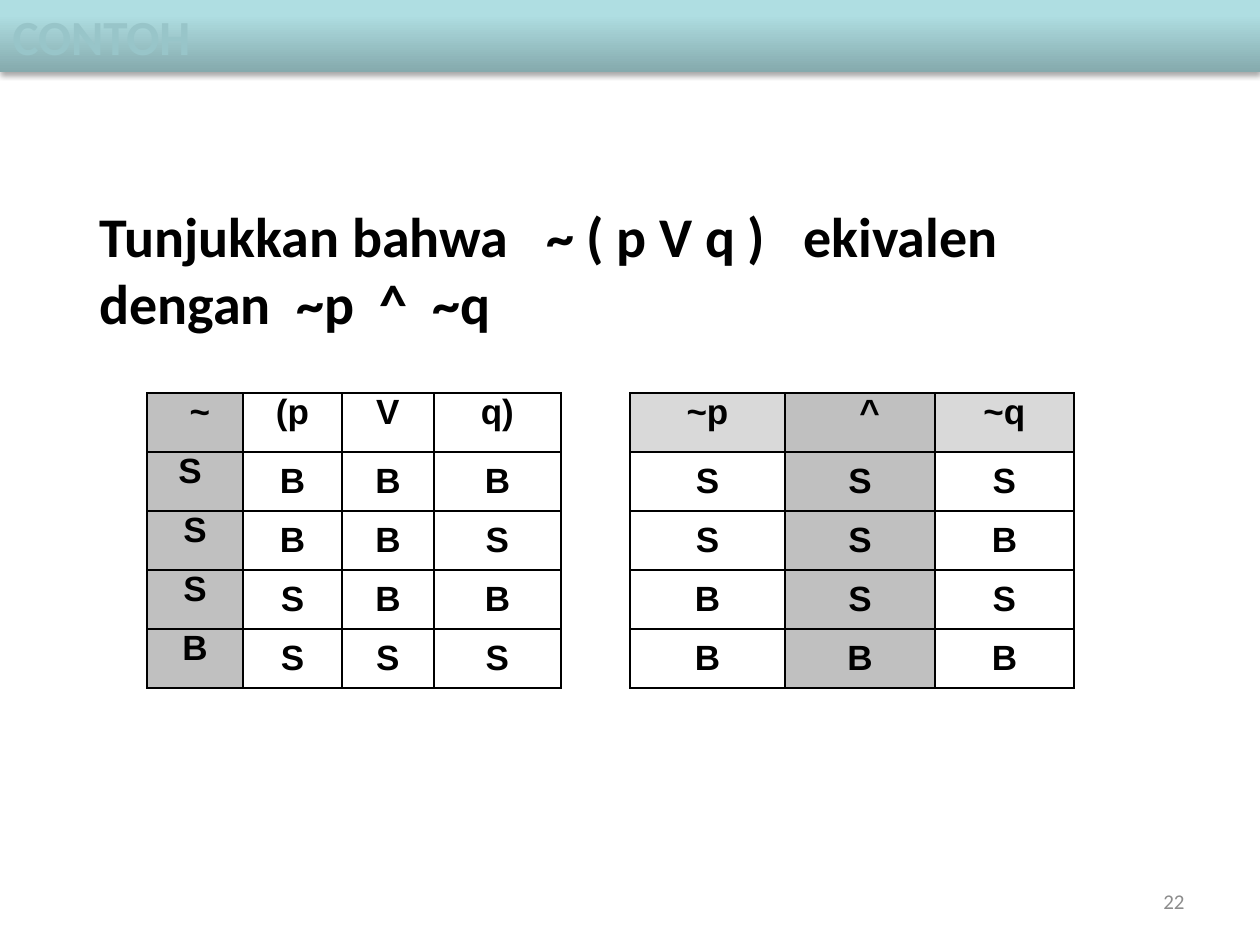
from dataclasses import dataclass
from lxml import etree
from pptx import Presentation
from pptx import util as u
from pptx.dml.color import RGBColor
from pptx.enum import text
from pptx.oxml.ns import qn

SCALE = 914400 / 126


@dataclass(frozen=True)
class Theme:
    black: str = "000000"
    page: str = "8C8C8C"
    dark: str = "C0C0C0"
    light: str = "D9D9D9"
    white: str = "FFFFFF"
    band: tuple = ((0, "85AAAD"), (80, "AFDEE2"), (100, "AFE0E4"))
    glow: tuple = ((0, "ADD4D7"), (49, "98C5C9"), (50, "95BDC0"),
                   (92, "86A7AA"), (100, "83A4A6"))
    sans: str = "Calibri"
    grid: str = "Arial"
    small: int = 12
    cell: int = 20
    head: int = 28
    body: int = 32


@dataclass(frozen=True)
class Truth:
    left: int
    cols: tuple
    rows: tuple
    heads: tuple
    fills: tuple
    tops: tuple = ()


THEME = Theme()
TOP, ROW, PAD = 393, 59, 9
TABLES = (
    Truth(147, (96, 99, 92, 127),
          ((" ~", "(p", "V", "q)"), ("S ", "B", "B", "B"), ("S", "B", "B", "S"),
           ("S", "S", "B", "B"), ("B", "S", "S", "S")),
          (THEME.dark, None, None, None), (THEME.dark, None, None, None), (0,)),
    Truth(630, (155, 150, 139),
          (("~p", "  ^", "~q"), ("S", "S", "S"), ("S", "S", "B"),
           ("B", "S", "S"), ("B", "B", "B")),
          (THEME.light, THEME.dark, THEME.light), (THEME.white, THEME.dark, None)),
)


def px(n: int) -> int:
    return round(n * SCALE)


def add(parent, tag: str, **attrs):
    return etree.SubElement(parent, qn(tag), {k: str(v) for k, v in attrs.items()})


def blend(fill, owner, stops: tuple, angle: int) -> None:
    fill.gradient()
    grad = owner.find(qn("a:gradFill"))
    for child in list(grad):
        grad.remove(child)
    group = add(grad, "a:gsLst")
    for pos, color in stops:
        add(add(group, "a:gs", pos=pos * 1000), "a:srgbClr", val=color)
    add(grad, "a:lin", ang=angle * 60000, scaled=0)


def write(frame, words: str, *, size: int, font: str = THEME.sans,
          color: str = THEME.black, bold: bool = True,
          align=text.PP_ALIGN.LEFT, anchor=text.MSO_ANCHOR.TOP):
    frame.word_wrap = True
    frame.vertical_anchor = anchor
    para = frame.paragraphs[0]
    para.alignment = align
    run = para.add_run()
    run.text = words
    run.font.size = u.Pt(size)
    run.font.name = font
    run.font.bold = bold
    run.font.color.rgb = RGBColor.from_string(color)
    return run


def label(slide, box: tuple, words: str, **form) -> None:
    shape = slide.shapes.add_textbox(*map(px, box))
    write(shape.text_frame, words, **form)


def banner(slide, words: str) -> None:
    title = slide.shapes.title
    title.left, title.top, title.width, title.height = map(px, (0, 0, 1260, 72))
    props = title.element.spPr
    blend(title.fill, props, THEME.band, 270)
    shade = add(add(props, "a:effectLst"), "a:outerShdw", blurRad=u.Pt(3.1),
                dist=u.Pt(1.8), dir=90 * 60000, rotWithShape=0)
    add(add(shade, "a:srgbClr", val=THEME.black), "a:alpha", val=35000)
    run = write(title.text_frame, words, size=THEME.head,
                anchor=text.MSO_ANCHOR.MIDDLE)
    blend(run.font.fill, run.font._element, THEME.glow, 90)


def edge(cell) -> None:
    props = cell._tc.get_or_add_tcPr()
    for tag in ("a:lnL", "a:lnR", "a:lnT", "a:lnB"):
        line = add(props, tag, w=u.Pt(1))
        add(add(line, "a:solidFill"), "a:srgbClr", val=THEME.black)


def table(slide, truth: Truth) -> None:
    rows, cols = len(truth.rows), len(truth.cols)
    grid = slide.shapes.add_table(rows, cols, px(truth.left), px(TOP),
                                  px(sum(truth.cols)), px(ROW * rows)).table
    grid.first_row = grid.horz_banding = False
    for col, width in zip(grid.columns, truth.cols):
        col.width = px(width)
    for r, words in enumerate(truth.rows):
        grid.rows[r].height = px(ROW)
        for c, word in enumerate(words):
            cell = grid.cell(r, c)
            high = r == 0 or c in truth.tops
            anchor = text.MSO_ANCHOR.TOP if high else text.MSO_ANCHOR.MIDDLE
            write(cell.text_frame, word, size=THEME.cell, font=THEME.grid,
                  align=text.PP_ALIGN.CENTER)
            cell.vertical_anchor = anchor
            cell.margin_left = cell.margin_right = px(PAD)
            cell.margin_top = cell.margin_bottom = 0
            edge(cell)
            color = (truth.fills if r else truth.heads)[c]
            if color:
                cell.fill.solid()
                cell.fill.fore_color.rgb = RGBColor.from_string(color)
            else:
                cell.fill.background()


def main() -> None:
    deck = Presentation()
    deck.slide_width, deck.slide_height = px(1260), px(945)
    slide = deck.slides.add_slide(deck.slide_layouts[5])
    label(slide, (903, 876, 294, 50), "22", size=THEME.small, color=THEME.page,
          bold=False, align=text.PP_ALIGN.RIGHT, anchor=text.MSO_ANCHOR.MIDDLE)
    banner(slide, "CONTOH")
    label(slide, (87, 195, 1086, 600),
          "Tunjukkan bahwa   ~ ( p V q )   ekivalen  dengan  ~p  ^  ~q",
          size=THEME.body)
    for truth in TABLES:
        table(slide, truth)
    deck.save("out.pptx")


if __name__ == "__main__":
    main()
